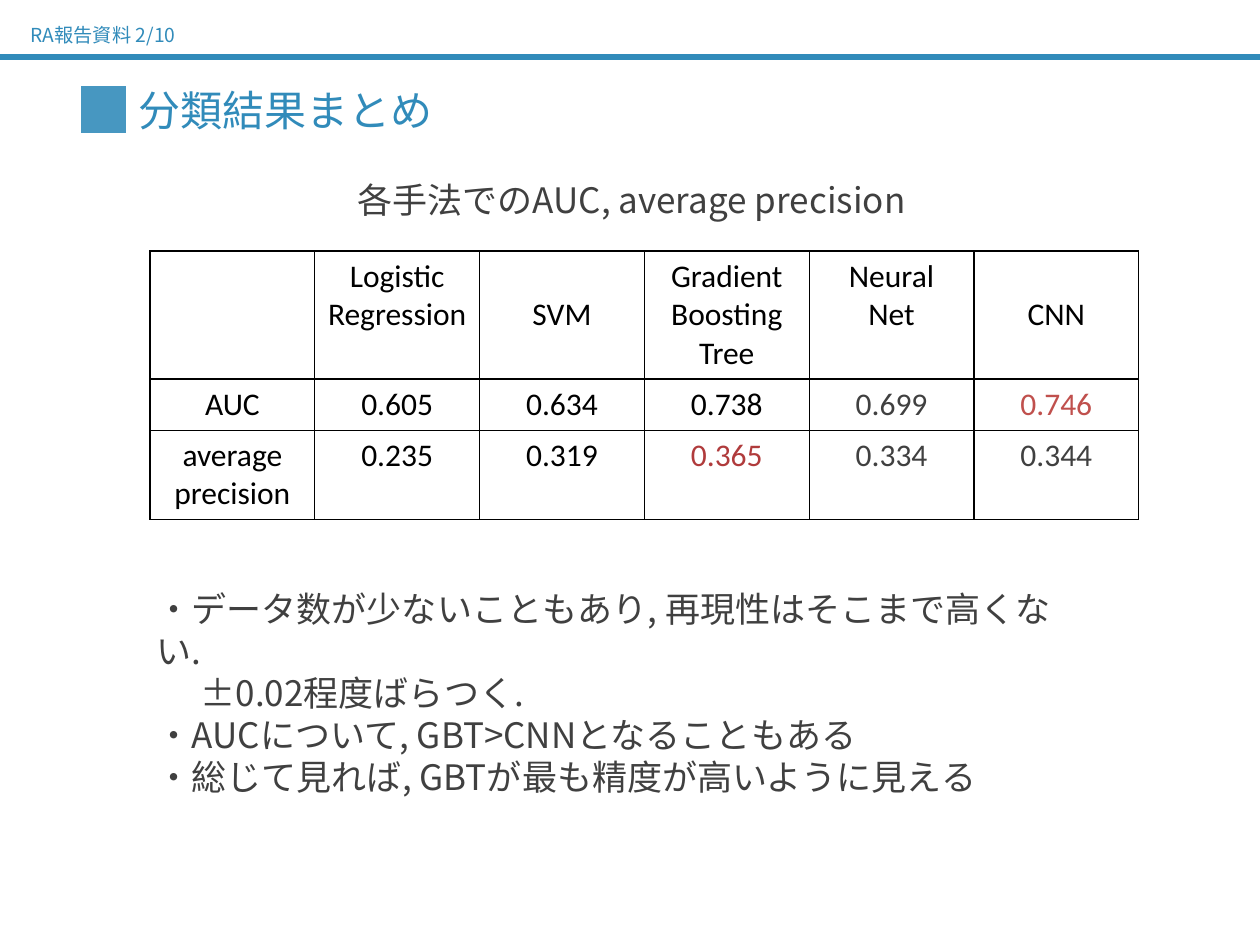
from lxml.etree import SubElement
from pptx import Presentation
from pptx.dml.color import RGBColor
from pptx.enum.shapes import MSO_SHAPE
from pptx.enum.text import MSO_ANCHOR, MSO_AUTO_SIZE, PP_ALIGN
from pptx.oxml.ns import qn
from pptx.util import Pt

PX = 914400 / 126
BLUE = RGBColor(0x31, 0x8B, 0xBA)
GRAY = RGBColor(0x40, 0x40, 0x40)
BLACK = RGBColor(0x00, 0x00, 0x00)
BEST_AUC = RGBColor(0xC0, 0x50, 0x4D)
BEST_PRECISION = RGBColor(0xB0, 0x3B, 0x3C)
JAPANESE_FONT, TABLE_FONT = "Noto Sans CJK JP", "Calibri"

HEADER = "RA報告資料 2/10"
TITLE = "分類結果まとめ"
CAPTION = "各手法でのAUC, average precision"
RESULTS = [
    ["", "Logistic Regression", "SVM", "Gradient Boosting Tree", "Neural\nNet", "CNN"],
    ["AUC", "0.605", "0.634", "0.738", "0.699", "0.746"],
    ["average\nprecision", "0.235", "0.319", "0.365", "0.334", "0.344"],
]
CELL_COLORS = {
    (1, 4): GRAY, (1, 5): BEST_AUC,
    (2, 3): BEST_PRECISION, (2, 4): GRAY, (2, 5): GRAY,
}
MIDDLE_CELLS = [(0, 2), (0, 5)]
TABLE_WIDTH, ROW_HEIGHTS = 989, [126, 51, 88]
FINDINGS = [
    ("・データ数が少ないこともあり, 再現性はそこまで高くない.", 0),
    ("±0.02程度ばらつく.", 44),
    ("・AUCについて, GBT>CNNとなることもある", 0),
    ("・総じて見れば, GBTが最も精度が高いように見える", 0),
]


def px(length):
    return round(length * PX)


def place(shape, left, top, width, height):
    shape.left, shape.top = px(left), px(top)
    shape.width, shape.height = px(width), px(height)


def format_runs(paragraph, size, color, font):
    for run in paragraph.runs:
        run.font.size, run.font.name = Pt(size), font
        run.font.color.rgb = color
        SubElement(run._r.get_or_add_rPr(), qn("a:ea"), typeface=font)


def write(shape, text, size, color, wrap=False):
    frame = shape.text_frame
    frame.text = text
    frame.word_wrap = wrap
    frame.auto_size = MSO_AUTO_SIZE.NONE
    frame.vertical_anchor = MSO_ANCHOR.TOP
    for paragraph in frame.paragraphs:
        paragraph.alignment = PP_ALIGN.LEFT
        paragraph.space_before = Pt(0)
        format_runs(paragraph, size, color, JAPANESE_FONT)


def add_bar(slide, *box):
    bar = slide.shapes.add_shape(MSO_SHAPE.RECTANGLE, *map(px, box))
    bar.shadow.inherit = False
    bar.fill.solid()
    bar.fill.fore_color.rgb = BLUE
    bar.line.fill.background()
    return bar


def add_borders(cell):
    properties = cell._tc.get_or_add_tcPr()
    for index, side in enumerate(("lnL", "lnR", "lnT", "lnB")):
        line = properties.makeelement(qn(f"a:{side}"), {"w": str(Pt(0.75))})
        fill = SubElement(line, qn("a:solidFill"))
        SubElement(fill, qn("a:srgbClr"), val=str(BLACK))
        properties.insert(index, line)


def add_results(slide, left, top):
    rows, columns = len(RESULTS), len(RESULTS[0])
    table = slide.shapes.add_table(
        rows, columns, px(left), px(top),
        px(TABLE_WIDTH), px(sum(ROW_HEIGHTS))).table
    table.first_row = table.horz_banding = False
    for column in table.columns:
        column.width = px(TABLE_WIDTH / columns)
    for r, (height, values) in enumerate(zip(ROW_HEIGHTS, RESULTS)):
        table.rows[r].height = px(height)
        for c, value in enumerate(values):
            cell = table.cell(r, c)
            cell.text_frame.text = value
            cell.fill.background()
            add_borders(cell)
            if (r, c) in MIDDLE_CELLS:
                cell.vertical_anchor = MSO_ANCHOR.MIDDLE
            for paragraph in cell.text_frame.paragraphs:
                paragraph.alignment = PP_ALIGN.CENTER
                format_runs(paragraph, 18, CELL_COLORS.get((r, c), BLACK), TABLE_FONT)


def main():
    deck = Presentation()
    deck.slide_width, deck.slide_height = px(1260), px(945)
    slide = deck.slides.add_slide(deck.slide_layouts[1])
    title, findings = slide.placeholders

    add_results(slide, 150, 251)
    add_bar(slide, 0, 54, 1260, 6)
    marker = add_bar(slide, 81, 86, 45, 47)
    marker_color = marker.fill._xPr.find(qn("a:solidFill"))[0]
    SubElement(marker_color, qn("a:alpha"), val="89000")

    place(title, 126, 78, 323, 63)
    write(title, TITLE, 24, BLUE)
    for text, size, color, box in [
        (HEADER, 11, BLUE, (18, 17, 559, 50)),
        (CAPTION, 20, GRAY, (345, 172, 601, 55)),
    ]:
        write(slide.shapes.add_textbox(*map(px, box)), text, size, color)

    place(findings, 144, 581, 982, 228)
    write(findings, "\n".join(text for text, _ in FINDINGS), 20, GRAY, wrap=True)
    findings.text_frame.margin_right = px(45)
    for paragraph, (_, indent) in zip(findings.text_frame.paragraphs, FINDINGS):
        properties = paragraph._p.get_or_add_pPr()
        properties.set("marL", str(px(indent)))
        properties.set("indent", "0")
        SubElement(properties, qn("a:buNone"))

    deck.save("out.pptx")


if __name__ == "__main__":
    main()
